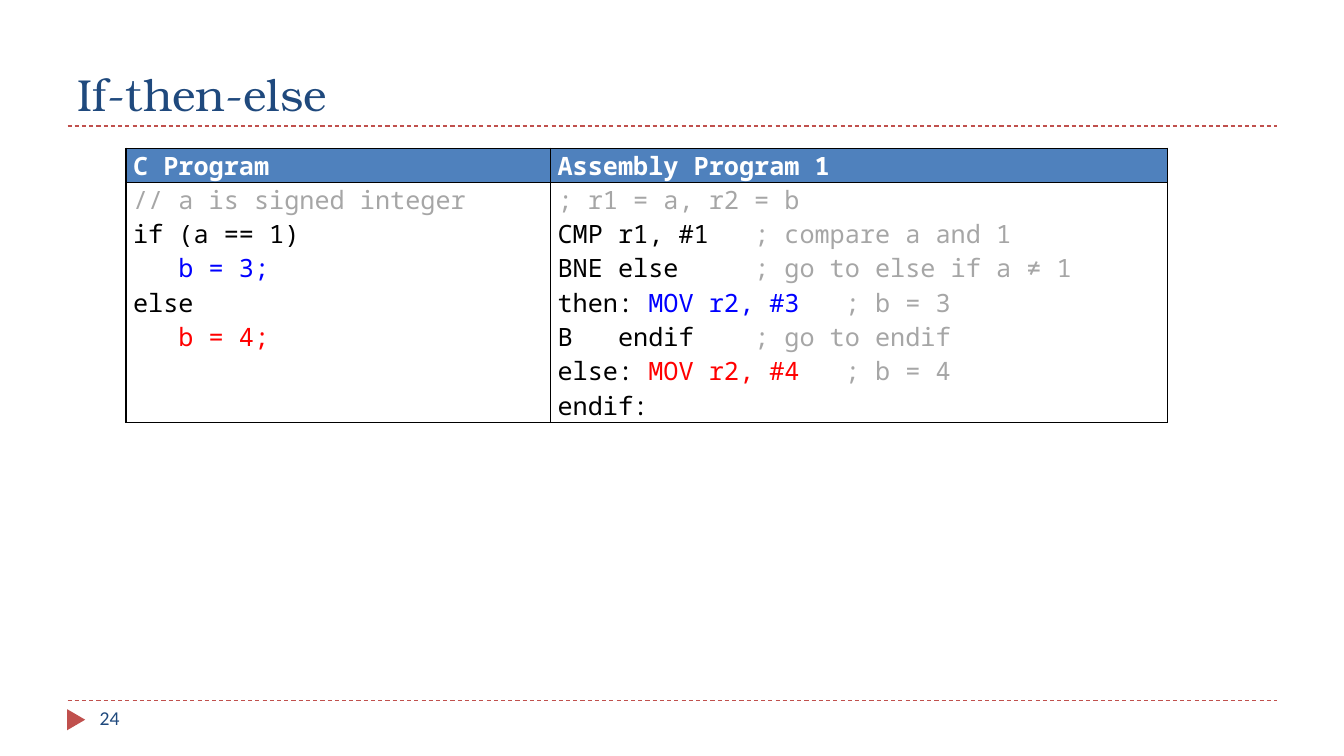
"""Build the If-then-else slide comparing C with assembly."""
from lxml.etree import SubElement
from pptx import Presentation
from pptx.dml.color import RGBColor
from pptx.enum.dml import MSO_LINE
from pptx.enum.shapes import MSO_CONNECTOR, MSO_SHAPE
from pptx.enum.text import MSO_ANCHOR, PP_ALIGN
from pptx.oxml.ns import qn
from pptx.util import Inches, Pt

COLORS = {
    "navy": "1F497D", "accent": "C0504D", "header": "4F81BD", "white": "FFFFFF",
    "comment": "A6A6A6", "code": "000000", "then": "0000FF", "else": "FF0000",
}
TITLE = "If-then-else"
PAGE_NUMBER = "24"
HEADERS = ["C Program", "Assembly Program 1"]
C_LINES = [
    [("// a is signed integer", "comment")],
    [("if (a == 1)", "code")],
    [("   b = 3;", "then")],
    [("else", "code")],
    [("   b = 4;", "else")],
]
ASSEMBLY_LINES = [
    [("; r1 = a, r2 = b", "comment")],
    [("CMP r1, #1   ", "code"), ("; compare a and 1", "comment")],
    [("BNE else     ", "code"), ("; go to else if a ≠ 1", "comment")],
    [("then: ", "code"), ("MOV r2, #3   ", "then"), ("; b = 3", "comment")],
    [("B   endif    ", "code"), ("; go to endif", "comment")],
    [("else: ", "code"), ("MOV r2, #4   ", "else"), ("; b = 4", "comment")],
    [("endif:", "code")],
]
COLUMN_WIDTHS = [4.21, 6.12]
LINE_HEIGHT = 0.34
ROW_HEIGHTS = [LINE_HEIGHT, LINE_HEIGHT * len(ASSEMBLY_LINES)]
RULE_TOPS = [6.95, 1.25]


def color(name):
    """Return the named color."""
    return RGBColor.from_string(COLORS[name])


def write(frame, lines, font, size, bold=False, align=PP_ALIGN.LEFT):
    """Fill a text frame with lines of (text, color name) runs."""
    frame.word_wrap = True
    for index, line in enumerate(lines):
        paragraph = frame.add_paragraph() if index else frame.paragraphs[0]
        paragraph.alignment = align
        for text, color_name in line:
            run = paragraph.add_run()
            run.text = text
            run.font.name = font
            run.font.size = Pt(size)
            run.font.bold = bold
            run.font.color.rgb = color(color_name)


def add_borders(cell):
    """Draw a thin black line on each side of a cell."""
    properties = cell._tc.get_or_add_tcPr()
    for index, side in enumerate(("lnL", "lnR", "lnT", "lnB")):
        border = properties.makeelement(qn(f"a:{side}"), {"w": str(Pt(1))})
        fill = SubElement(border, qn("a:solidFill"))
        SubElement(fill, qn("a:srgbClr"), val=COLORS["code"])
        properties.insert(index, border)


def add_rule(slide, top):
    """Draw a dashed line across the slide."""
    rule = slide.shapes.add_connector(
        MSO_CONNECTOR.STRAIGHT, Inches(0.67), Inches(top), Inches(12.67), Inches(top))
    rule.line.color.rgb = color("accent")
    rule.line.width = Pt(0.75)
    rule.line.dash_style = MSO_LINE.DASH
    SubElement(rule._element.spPr, qn("a:effectLst"))


def add_program_table(slide):
    """Place the two programs side by side."""
    table = slide.shapes.add_table(
        2, 2, Inches(1.25), Inches(1.47),
        Inches(sum(COLUMN_WIDTHS)), Inches(sum(ROW_HEIGHTS))).table
    for column, width in zip(table.columns, COLUMN_WIDTHS):
        column.width = Inches(width)
    for row, height in zip(table.rows, ROW_HEIGHTS):
        row.height = Inches(height)
    contents = [[[[(header, "white")]] for header in HEADERS], [C_LINES, ASSEMBLY_LINES]]
    for row, programs in enumerate(contents):
        for column, lines in enumerate(programs):
            cell = table.cell(row, column)
            is_header = row == 0
            cell.margin_left = cell.margin_right = Inches(0.07)
            cell.margin_top = cell.margin_bottom = 0
            cell.vertical_anchor = MSO_ANCHOR.MIDDLE if is_header else MSO_ANCHOR.TOP
            if is_header:
                cell.fill.solid()
                cell.fill.fore_color.rgb = color("header")
            else:
                cell.fill.background()
            add_borders(cell)
            align = PP_ALIGN.JUSTIFY if is_header or column == 0 else PP_ALIGN.LEFT
            write(cell.text_frame, lines, "Noto Sans Mono", 18, bold=is_header, align=align)


def main():
    """Assemble and save the slide."""
    presentation = Presentation()
    presentation.slide_width = Inches(13.33)
    presentation.slide_height = Inches(7.5)
    slide = presentation.slides.add_slide(presentation.slide_layouts[5])
    for top in RULE_TOPS:
        add_rule(slide, top)

    marker = slide.shapes.add_shape(
        MSO_SHAPE.ISOSCELES_TRIANGLE, Inches(0.65), Inches(7.05), Inches(0.21), Inches(0.18))
    marker.rotation = 90
    marker.shadow.inherit = False
    marker.fill.solid()
    marker.fill.fore_color.rgb = color("accent")
    marker.line.fill.background()

    title = slide.shapes.title
    title.left, title.top = Inches(0.67), Inches(0.17)
    title.width, title.height = Inches(12), Inches(1.08)
    title.text_frame.vertical_anchor = MSO_ANCHOR.BOTTOM
    write(title.text_frame, [[(TITLE, "navy")]], "TeX Gyre Bonum", 32)

    number = slide.shapes.add_textbox(Inches(0.89), Inches(6.95), Inches(2.89), Inches(0.4))
    write(number.text_frame, [[(PAGE_NUMBER, "navy")]], "Calibri", 14)

    add_program_table(slide)
    presentation.save("out.pptx")


if __name__ == "__main__":
    main()
